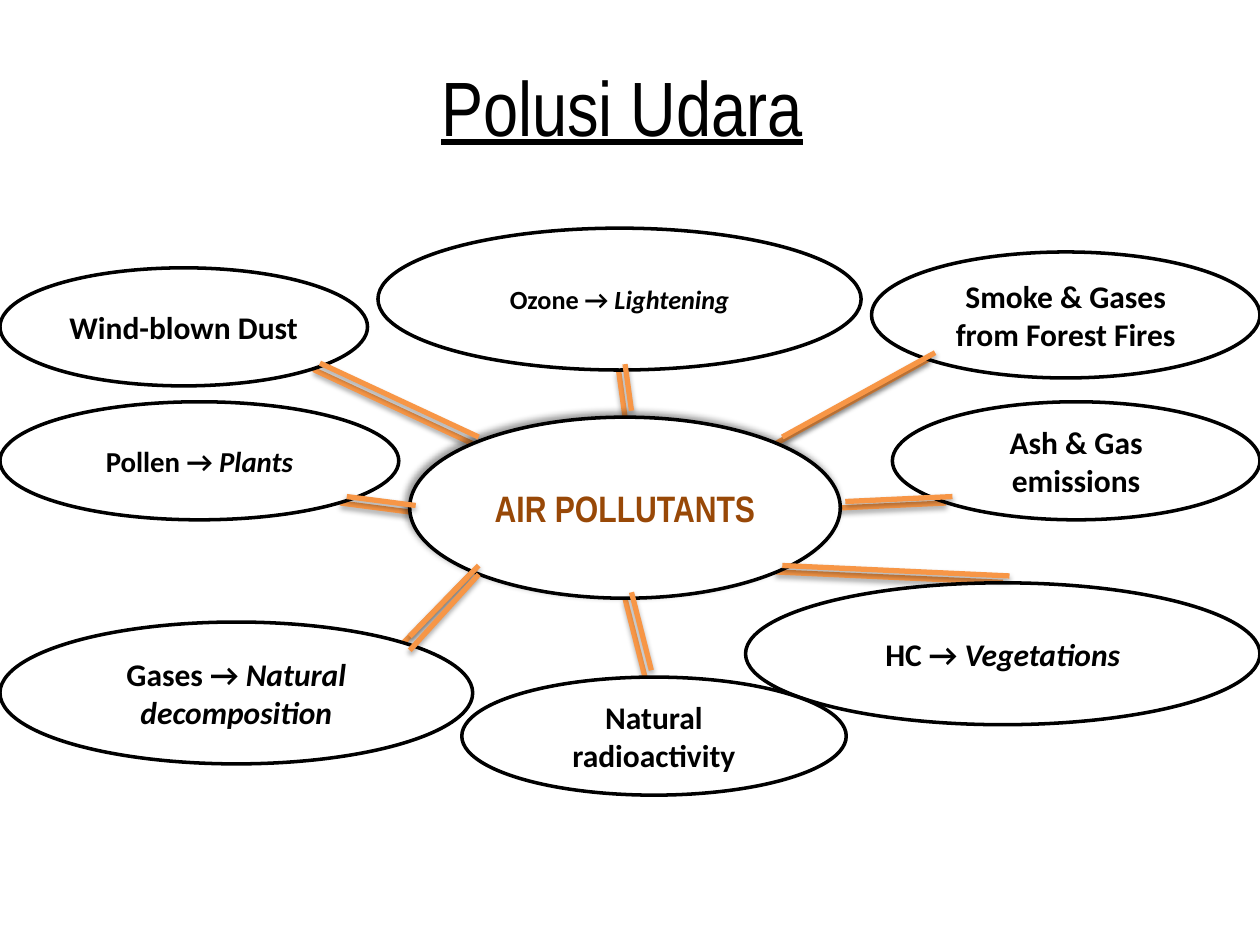
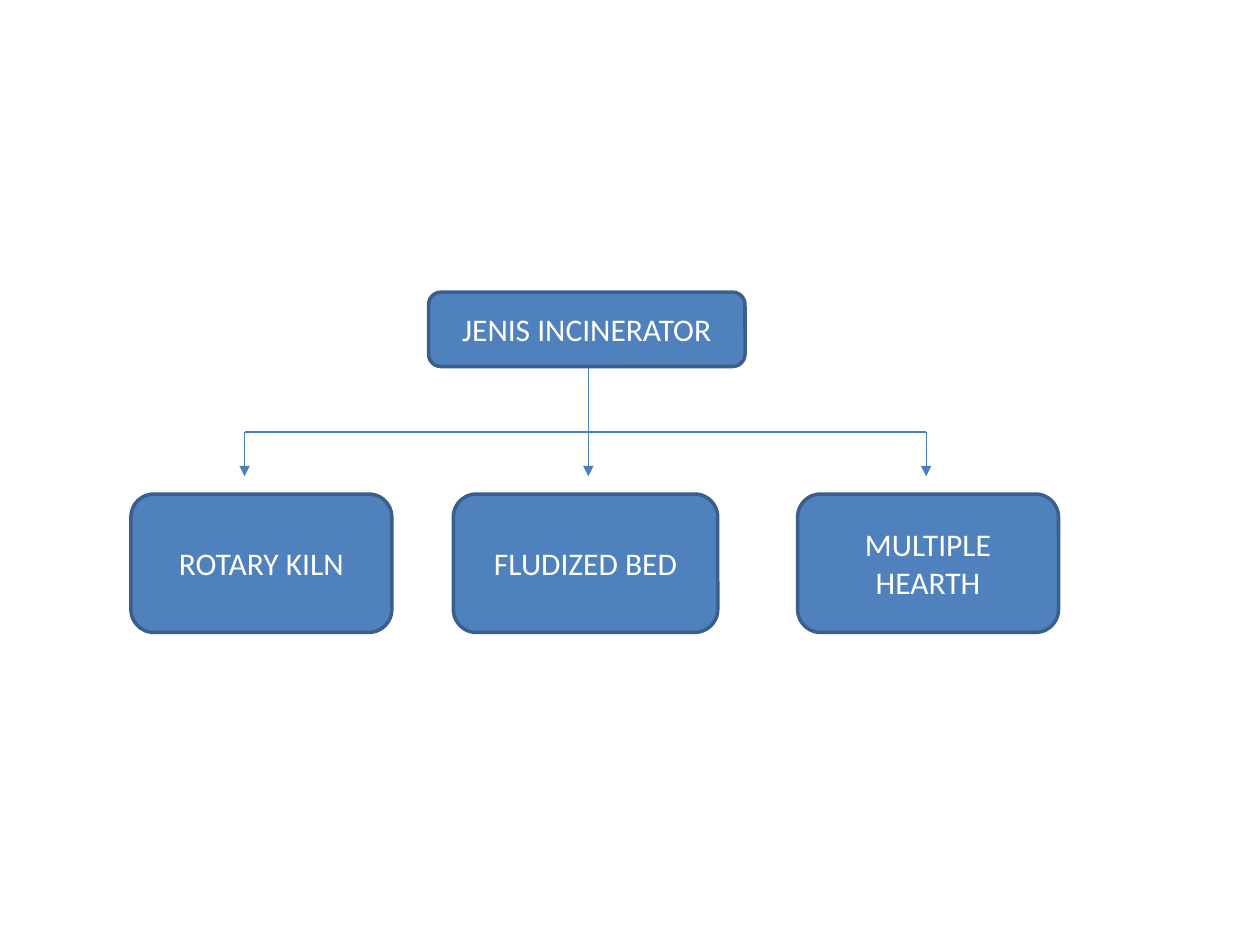
"""Build two slides: a web of air pollutants and a tree of incinerator types."""
from lxml.etree import SubElement
from pptx import Presentation
from pptx.dml.color import RGBColor as Rgb
from pptx.enum.shapes import MSO_CONNECTOR as Connector, MSO_SHAPE as Preset
from pptx.enum.text import MSO_ANCHOR as Anchor, PP_ALIGN as Align
from pptx.oxml.ns import qn
from pptx.util import Cm, Pt

COLORS = {
    "black": "000000", "white": "FFFFFF", "brown": "984807", "orange": "F79646",
    "blue": "4F81BD", "edge": "3A5F8C", "arrow": "4B7EBC",
}
BODY_FONT, HEAD_FONT = "Calibri", "Arial Narrow"
SPOKE_SHADOW = {"blur": 3.1, "distance": 1.8, "angle": 90, "opacity": 35}
HUB_SHADOW = {"blur": 4, "distance": 3, "angle": 225, "opacity": 40}
HUB = (8.26, 8.41, 8.68, 3.65)
SOURCES = [
    ("Wind-blown Dust", "", 18, (0, 5.4, 7.41, 2.38)),
    ("Ash & Gas emissions", "", 18, (17.99, 8.1, 7.41, 2.38)),
    ("Smoke & Gases from Forest Fires", "", 18, (17.57, 5.08, 7.83, 2.54)),
    ("Pollen → ", "Plants", 16.5, (0, 8.1, 8.04, 2.38)),
    ("HC → ", "Vegetations", 18, (15.03, 11.75, 10.37, 2.86)),
    ("Ozone → ", "Lightening", 15, (7.62, 4.6, 9.74, 2.86)),
    ("Gases → ", "Natural decomposition", 18, (0, 12.54, 9.53, 2.86)),
    ("Natural radioactivity", "", 18, (9.31, 13.65, 7.75, 2.38)),
]
SPOKES = [
    (9.65, 8.81, 6.45, 7.32), (20.35, 11.61, 15.77, 11.4),
    (13.13, 13.51, 12.73, 11.94), (18.85, 7.11, 15.77, 8.81),
    (8.26, 12.83, 9.65, 11.4), (12.73, 8.28, 12.6, 7.34),
    (8.38, 10.19, 6.99, 10.01), (19.2, 10.01, 17.04, 10.11),
]
EXTRA_SPOKE = (8.26, 13.11, 9.65, 11.58)
SPOKE_SHIFT = 0.13
BRANCHES = [
    ("ROTARY KILN", 2.64, 5.26, 4.93),
    ("FLUDIZED BED", 9.14, 5.33, 11.86),
    ("MULTIPLE HEARTH", 16.08, 5.26, 18.67),
]
BAR_TOP = 8.71


def add_span(para, text, size=18, color="black", font=BODY_FONT, **styles):
    para.alignment = Align.CENTER
    span = para.add_run()
    span.text = text
    span.font.size, span.font.name = Pt(size), font
    span.font.color.rgb = Rgb.from_string(COLORS[color])
    for name, value in styles.items():
        setattr(span.font, name, value)


def set_shadow(shape, blur, distance, angle, opacity):
    properties = shape._element.spPr
    for old in properties.findall(qn("a:effectLst")):
        properties.remove(old)
    effects = SubElement(properties, qn("a:effectLst"))
    shadow = SubElement(
        effects, qn("a:outerShdw"), blurRad=str(Pt(blur)), dist=str(Pt(distance)),
        dir=str(angle * 60000), algn="ctr", rotWithShape="0")
    tint = SubElement(shadow, qn("a:srgbClr"), val=COLORS["black"])
    SubElement(tint, qn("a:alpha"), val=str(opacity * 1000))


def add_box(page, preset, place, fill, edge):
    box = page.shapes.add_shape(preset, *map(Cm, place))
    box.shadow.inherit = False
    box.fill.solid()
    box.fill.fore_color.rgb = Rgb.from_string(COLORS[fill])
    box.line.color.rgb = Rgb.from_string(COLORS[edge])
    box.line.width = Pt(2)
    box.text_frame.word_wrap = True
    box.text_frame.vertical_anchor = Anchor.MIDDLE
    return box


def add_ellipse(page, place):
    return add_box(page, Preset.OVAL, place, "white", "black")


def add_node(page, text, place):
    box = add_box(page, Preset.ROUNDED_RECTANGLE, place, "blue", "edge")
    add_span(box.text_frame.paragraphs[0], text, color="white")


def add_line(page, ends, color="arrow", width=0.75, arrow=False):
    line = page.shapes.add_connector(Connector.STRAIGHT, *map(Cm, ends))
    line.line.color.rgb = Rgb.from_string(COLORS[color])
    line.line.width = Pt(width)
    if arrow:
        SubElement(line.line._get_or_add_ln(), qn("a:tailEnd"), type="triangle")
    SubElement(line._element.spPr, qn("a:effectLst"))
    return line


def add_spokes(page, spokes, shift=0):
    for x1, y1, x2, y2 in spokes:
        ends = (x1 - shift, y1 + shift, x2 - shift, y2 + shift)
        set_shadow(add_line(page, ends, "orange", 3), **SPOKE_SHADOW)


def add_title(page, text):
    title = page.shapes.title
    title.left, title.top, title.width, title.height = map(Cm, (1.11, 0.95, 22.86, 2.38))
    title.text_frame.vertical_anchor = Anchor.MIDDLE
    add_span(title.text_frame.paragraphs[0], text, size=44, font=HEAD_FONT, underline=True)


def build_pollutants(deck):
    page = deck.slides.add_slide(deck.slide_layouts[5])
    add_title(page, "Polusi Udara")
    add_spokes(page, SPOKES, SPOKE_SHIFT)
    hub = add_ellipse(page, HUB)
    set_shadow(hub, **HUB_SHADOW)
    add_span(hub.text_frame.paragraphs[0], "AIR POLLUTANTS", size=21, color="brown",
             font=HEAD_FONT, bold=True)
    for label, origin, size, place in SOURCES:
        para = add_ellipse(page, place).text_frame.paragraphs[0]
        add_span(para, label, size=size, bold=True)
        if origin:
            add_span(para, origin, size=size, bold=True, italic=True)
    add_spokes(page, SPOKES + [EXTRA_SPOKE])


def build_incinerators(deck):
    page = deck.slides.add_slide(deck.slide_layouts[6])
    add_node(page, "JENIS INCINERATOR", (8.64, 5.89, 6.38, 1.5))
    for text, left, width, arrow_left in BRANCHES:
        add_node(page, text, (left, 9.96, width, 2.79))
        add_line(page, (arrow_left, BAR_TOP, arrow_left, 9.6), arrow=True)
    first, middle, last = (branch[-1] for branch in BRANCHES)
    add_line(page, (first, BAR_TOP, last, BAR_TOP))
    add_line(page, (middle, 7.42, middle, BAR_TOP))


def main():
    deck = Presentation()
    deck.slide_width, deck.slide_height = Cm(25.4), Cm(19.05)
    build_pollutants(deck)
    build_incinerators(deck)
    deck.save("out.pptx")


if __name__ == "__main__":
    main()
